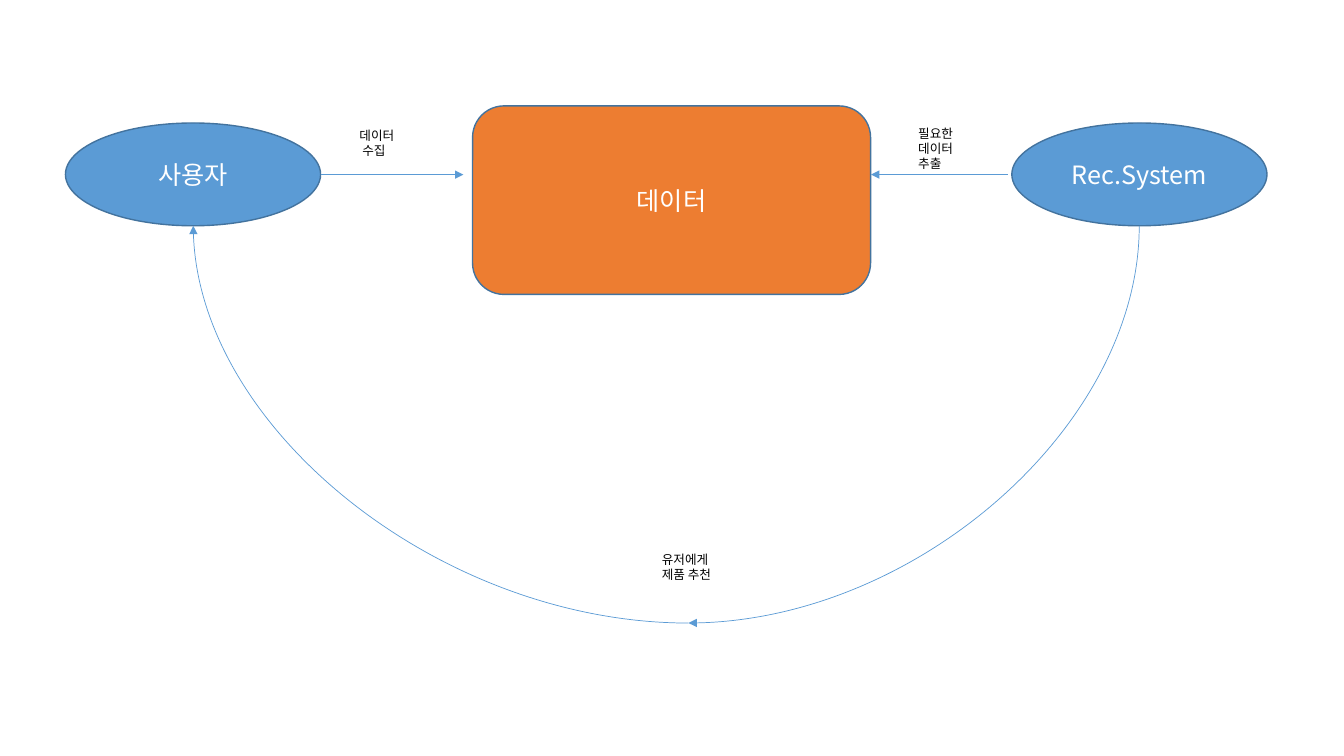
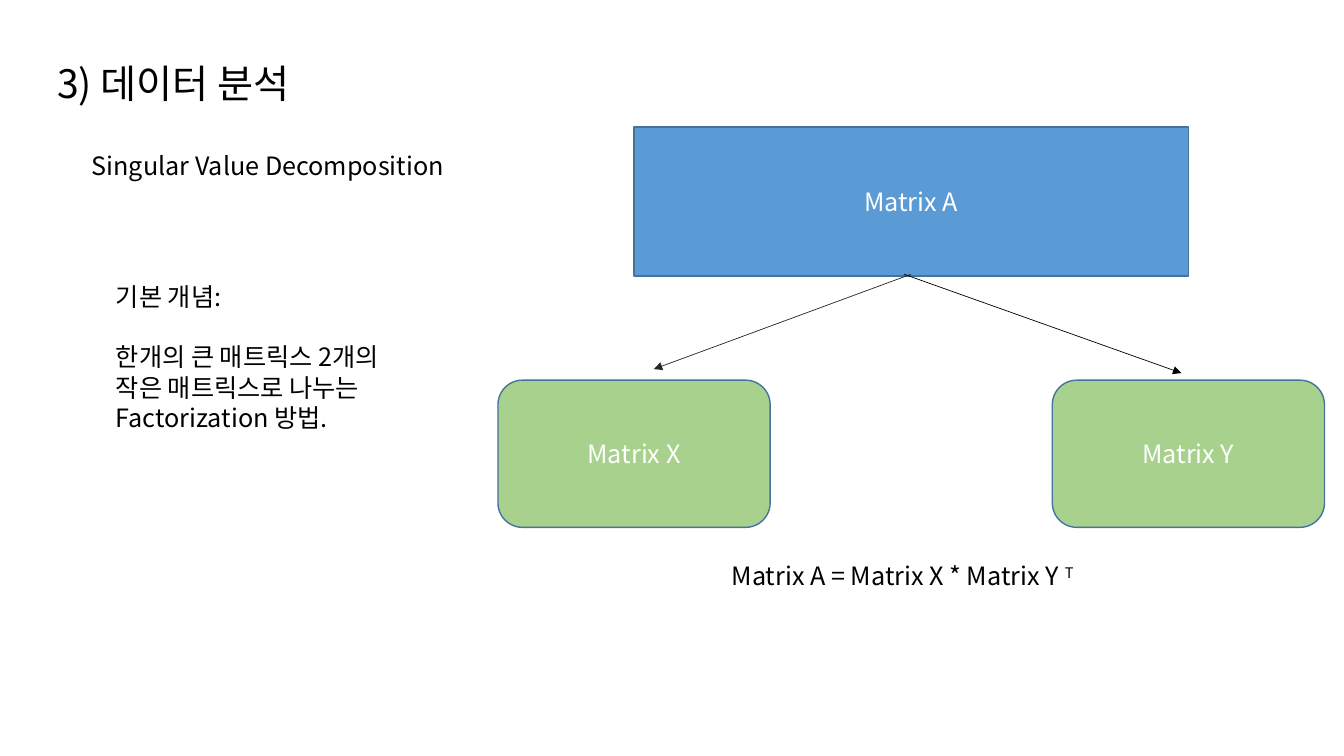
"""Build two slides: a recommendation data flow and a matrix factorization diagram."""
from dataclasses import dataclass

from lxml import etree
from pptx import Presentation
from pptx.dml.color import RGBColor
from pptx.enum import shapes, text
from pptx.oxml.ns import qn
from pptx.util import Cm, Pt


@dataclass(frozen=True)
class Theme:
    font: str = "Noto Sans CJK KR"
    blue: str = "5B9BD5"
    edge: str = "43739E"
    orange: str = "ED7D31"
    green: str = "A9D18E"
    white: str = "FFFFFF"
    black: str = "000000"
    gray: str = "262626"
    title: float = 28
    body: float = 18
    label: float = 9
    outline: float = 1
    arrow: float = 0.5


T = Theme()
KIND = shapes.MSO_SHAPE

FLOW = {
    "shapes": [
        ("Rec.System", KIND.OVAL, T.blue, (25.5, 3.1, 6.43, 2.59)),
        ("데이터", KIND.ROUNDED_RECTANGLE, T.orange, (11.91, 2.67, 10.03, 4.75)),
        ("사용자", KIND.OVAL, T.blue, (1.65, 3.1, 6.43, 2.59)),
    ],
    "arrows": [
        ((25.4, 4.4), (21.95, 4.4), T.blue),
        ((8.08, 4.4), (11.68, 4.4), T.blue),
    ],
    "curves": [
        ((28.71, 5.69), (17.35, 15.7), 90),
        ((17.35, 15.7), (4.87, 5.69), 180),
    ],
    "texts": [
        (["데이터", " 수집"], (8.81, 3.1, 2.08, 1.02), {"size": T.label}),
        (["필요한", "데이터", "추출"], (22.89, 3.05, 1.57, 1.42), {"size": T.label}),
        (["유저에게", "제품 추천"], (16.43, 13.79, 4.14, 1.02), {"size": T.label}),
    ],
}

FACTORS = {
    "shapes": [
        ("Matrix A", KIND.RECTANGLE, T.blue, (15.98, 3.2, 13.97, 3.76)),
        ("Matrix X", KIND.ROUNDED_RECTANGLE, T.green, (12.55, 9.58, 6.86, 3.71)),
        ("Matrix Y", KIND.ROUNDED_RECTANGLE, T.green, (26.52, 9.58, 6.86, 3.71)),
    ],
    "arrows": [
        ((22.96, 6.91), (16.48, 9.3), T.gray),
        ((22.78, 6.91), (29.77, 9.4), T.black),
    ],
    "curves": [],
    "texts": [
        (["3) 데이터 분석"], (1.19, 1.37, 13.06, 1.45), {"size": T.title}),
        (["Singular Value Decomposition"], (2.06, 3.66, 9.98, 1.02), {}),
        (["기본 개념:", "한개의 큰 매트릭스 2개의", "작은 매트릭스로 나누는", "Factorization 방법."],
         (2.67, 6.96, 8.61, 4.11), {"lead_gap": 21.6}),
        ([("Matrix A = Matrix X * Matrix Y ", "T")], (18.19, 14, 13, 1.02), {}),
    ],
}


def write(tf, lines, size=T.body, color=T.black, align=text.PP_ALIGN.LEFT, lead_gap=0):
    """Fill a text frame; in a tuple line, the second part is superscript."""
    tf.word_wrap = True
    for i, line in enumerate(lines):
        p = tf.paragraphs[0] if i == 0 else tf.add_paragraph()
        p.alignment = align
        if i == 0 and lead_gap:
            p.space_after = Pt(lead_gap)
        for j, part in enumerate((line,) if isinstance(line, str) else line):
            r = p.add_run()
            r.text = part
            r.font.size = Pt(size)
            r.font.name = T.font
            r.font.color.rgb = RGBColor.from_string(color)
            rpr = r.font._element
            etree.SubElement(rpr, qn("a:ea"), typeface=T.font)
            if j:
                rpr.set("baseline", "30000")


def add_node(s, name, kind, fill, box):
    """Add a filled, outlined shape with centred white text."""
    sp = s.shapes.add_shape(kind, *map(Cm, box))
    sp.shadow.inherit = False
    sp.fill.solid()
    sp.fill.fore_color.rgb = RGBColor.from_string(fill)
    sp.line.color.rgb = RGBColor.from_string(T.edge)
    sp.line.width = Pt(T.outline)
    sp.text_frame.vertical_anchor = text.MSO_ANCHOR.MIDDLE
    write(sp.text_frame, [name], color=T.white, align=text.PP_ALIGN.CENTER)


def add_arrow(s, start, end, color, kind=shapes.MSO_CONNECTOR.STRAIGHT):
    """Add a thin connector with a triangle at its end."""
    c = s.shapes.add_connector(kind, *map(Cm, start + end))
    c.line.color.rgb = RGBColor.from_string(color)
    c.line.width = Pt(T.arrow)
    etree.SubElement(c.line._get_or_add_ln(), qn("a:tailEnd"), type="triangle")
    etree.SubElement(c._element.spPr, qn("a:effectLst"))
    return c


def add_curve(s, start, end, turn):
    """Add a quarter-curve arrow, drawn in its unrotated box and then turned."""
    (x1, y1), (x2, y2) = start, end
    cx, cy = (x1 + x2) / 2, (y1 + y2) / 2
    w, h = abs(x2 - x1), abs(y2 - y1)
    if turn % 180:
        w, h = h, w
    c = add_arrow(s, (cx - w / 2, cy - h / 2), (cx + w / 2, cy + h / 2),
                  T.blue, shapes.MSO_CONNECTOR.CURVE)
    sppr = c._element.spPr
    sppr.find(qn("a:xfrm")).set("rot", str(turn * 60000))
    sppr.find(qn("a:prstGeom")).set("prst", "curvedConnector2")


def build(prs, content):
    """Add one slide from its content."""
    s = prs.slides.add_slide(prs.slide_layouts[6])
    for node in content["shapes"]:
        add_node(s, *node)
    for arrow in content["arrows"]:
        add_arrow(s, *arrow)
    for curve in content["curves"]:
        add_curve(s, *curve)
    for lines, box, fmt in content["texts"]:
        write(s.shapes.add_textbox(*map(Cm, box)).text_frame, lines, **fmt)


def main():
    """Build and save the presentation."""
    prs = Presentation()
    prs.slide_width, prs.slide_height = Cm(33.87), Cm(19.05)
    for content in (FLOW, FACTORS):
        build(prs, content)
    prs.save("out.pptx")


if __name__ == "__main__":
    main()
